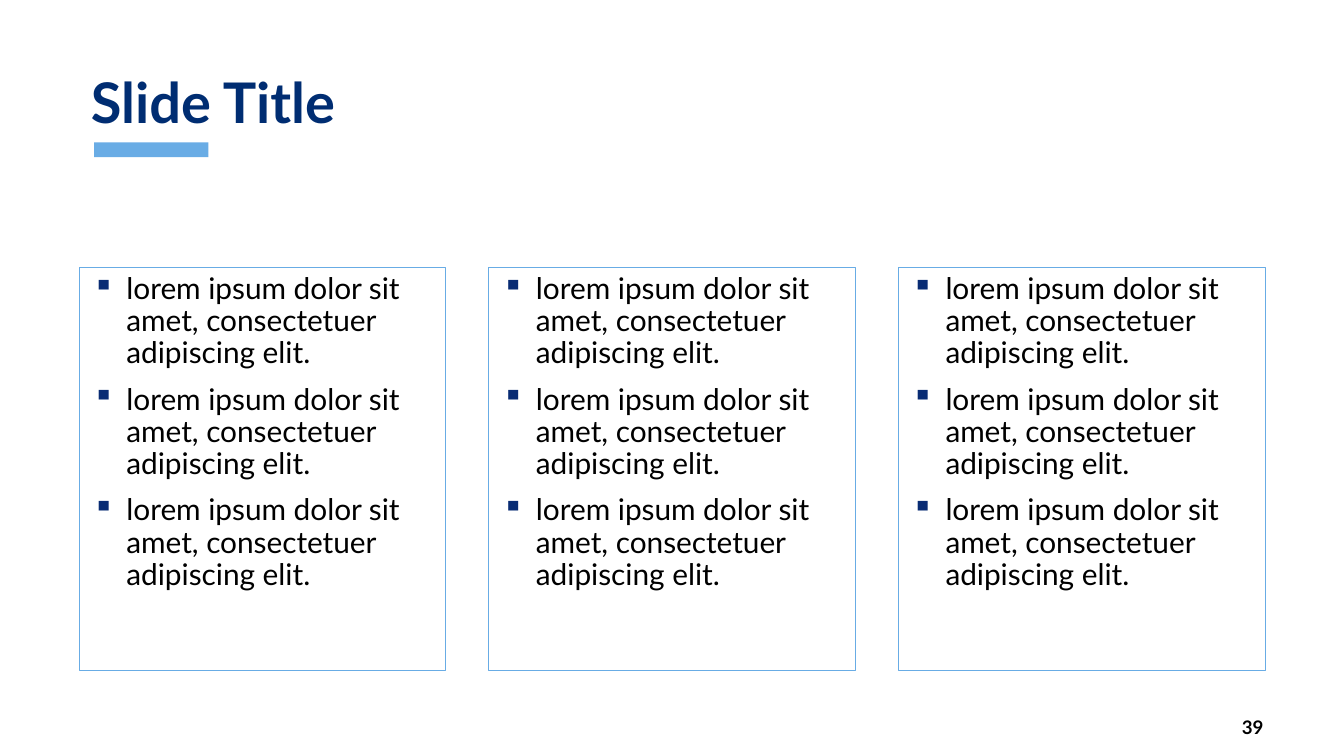
from lxml.etree import SubElement
from pptx import Presentation
from pptx.dml.color import RGBColor
from pptx.enum.shapes import MSO_SHAPE
from pptx.enum.text import MSO_ANCHOR, PP_ALIGN
from pptx.oxml.ns import qn
from pptx.util import Cm, Pt

TITLE = "Slide Title"
PAGE_NUMBER = "39"
SENTENCE = "lorem ipsum dolor sit amet, consectetuer adipiscing elit."
COLUMNS = [[SENTENCE] * 3] * 3

FONT = "Lato"
COLOURS = {
    "title": "002D72",
    "accent": "69ACE5",
    "border": "68ACE5",
    "bullet": "092C74",
    "text": "000000",
}

# Lengths in centimetres
COLUMN_LEFT, COLUMN_TOP = 1.5, 5.05
COLUMN_WIDTH, COLUMN_HEIGHT = 6.93, 7.62
COLUMN_GAP = 0.81
BULLET_INDENT = 0.64


def colour(name):
    return RGBColor.from_string(COLOURS[name])


def add_bullet(para):
    properties = para._p.get_or_add_pPr()
    properties.set("marL", str(Cm(BULLET_INDENT)))
    properties.set("indent", str(-Cm(BULLET_INDENT)))
    bullet_colour = SubElement(properties, qn("a:buClr"))
    SubElement(bullet_colour, qn("a:srgbClr"), val=COLOURS["bullet"])
    SubElement(properties, qn("a:buChar"), char="▪")


def write(box, texts, size=16, ink="text", bold=False, align=PP_ALIGN.LEFT,
          anchor=MSO_ANCHOR.TOP, wrap=True, spacing=0.9, gap=0, bullets=False):
    frame = box.text_frame
    frame.word_wrap = wrap
    frame.vertical_anchor = anchor
    for index, text in enumerate(texts):
        para = frame.add_paragraph() if index else frame.paragraphs[0]
        para.alignment = align
        para.line_spacing = spacing
        if index:
            para.space_before = Pt(gap)
        if bullets:
            add_bullet(para)
        span = para.add_run()
        span.text = text
        span.font.name = FONT
        span.font.size = Pt(size)
        span.font.bold = bold
        span.font.color.rgb = colour(ink)


def add_rectangle(page, left, top, width, height):
    box = page.shapes.add_shape(MSO_SHAPE.RECTANGLE, Cm(left), Cm(top), Cm(width), Cm(height))
    box.shadow.inherit = False
    return box


deck = Presentation()
deck.slide_width, deck.slide_height = Cm(25.4), Cm(14.29)
page = deck.slides.add_slide(deck.slide_layouts[6])

underline = add_rectangle(page, 1.78, 2.69, 2.16, 0.28)
underline.fill.solid()
underline.fill.fore_color.rgb = colour("accent")
underline.line.fill.background()

number_box = page.shapes.add_textbox(Cm(21.92), Cm(13.51), Cm(2.21), Cm(0.48))
write(number_box, [PAGE_NUMBER], size=10, bold=True, align=PP_ALIGN.RIGHT,
      anchor=MSO_ANCHOR.MIDDLE, wrap=False, spacing=1.0)

title_box = page.shapes.add_textbox(Cm(1.47), Cm(0.3), Cm(22.45), Cm(2.39))
write(title_box, [TITLE], size=30, ink="title", bold=True, anchor=MSO_ANCHOR.BOTTOM)

for index, points in enumerate(COLUMNS):
    left = COLUMN_LEFT + index * (COLUMN_WIDTH + COLUMN_GAP)
    column = add_rectangle(page, left, COLUMN_TOP, COLUMN_WIDTH, COLUMN_HEIGHT)
    column.fill.background()
    column.line.color.rgb = colour("border")
    column.line.width = Pt(0.5)
    write(column, points, gap=7.5, bullets=True)

deck.save("out.pptx")
